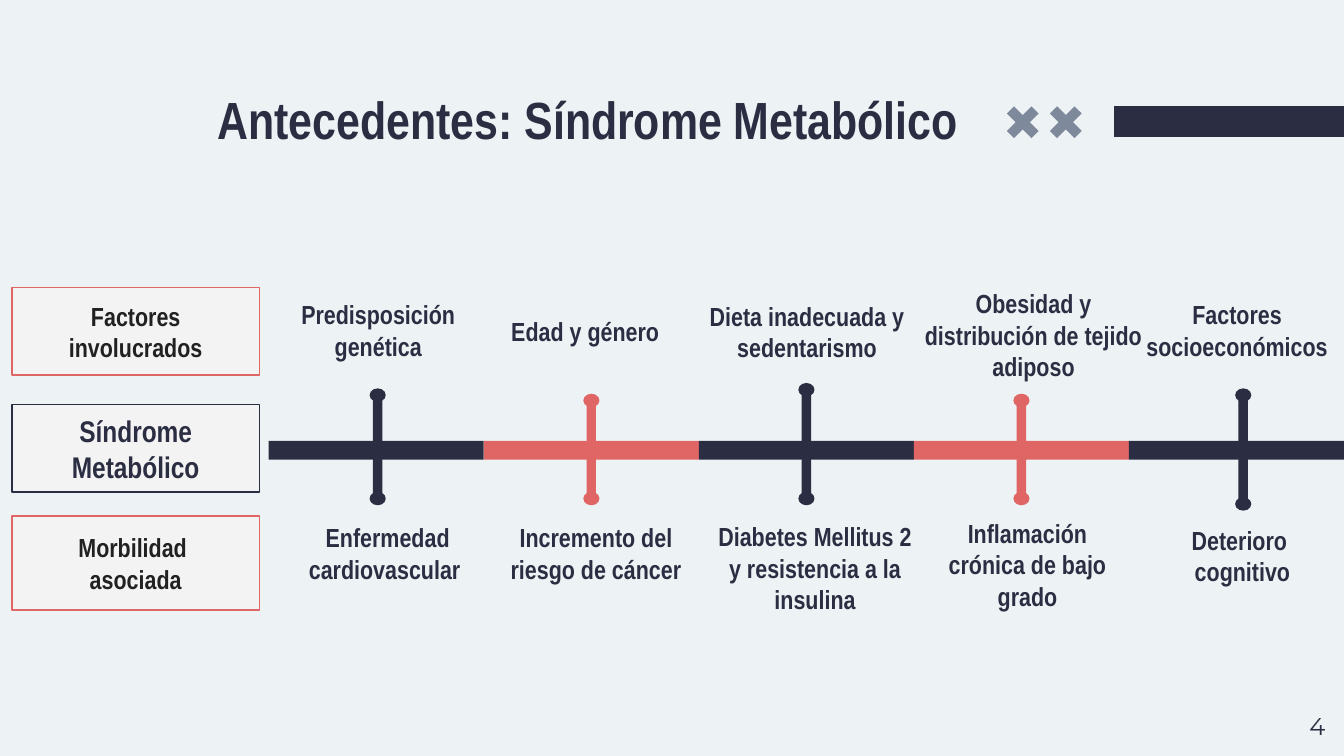
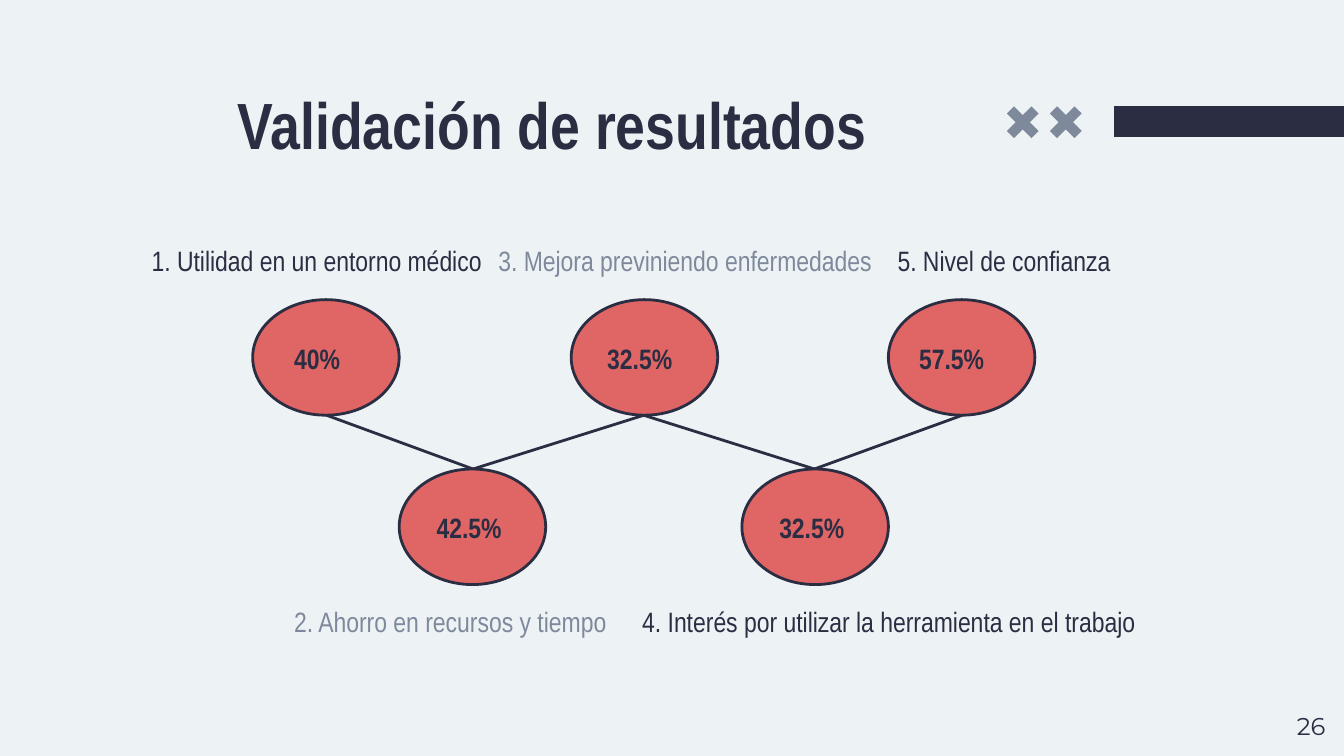
from lxml import etree
from pptx import Presentation
from pptx import util as u
from pptx.dml.color import RGBColor
from pptx.enum import shapes, text
from pptx.oxml.ns import qn

COLORS = {
    "paper": "EDF2F4",
    "navy": "2B2D42",
    "slate": "7E899C",
    "coral": "E06666",
    "label": "F3F3F3",
    "ink": "212121",
}
RGB = {name: RGBColor.from_string(value) for name, value in COLORS.items()}
NARROW = "Arial Narrow"
SHAPE = shapes.MSO_SHAPE
ALIGN = text.PP_ALIGN
ANCHOR = text.MSO_ANCHOR


def draw(slide, kind, box, fill, line=None, weight=0.75):
    shape = slide.shapes.add_shape(kind, *map(u.Inches, box))
    shape.shadow.inherit = False
    shape.fill.solid()
    shape.fill.fore_color.rgb = RGB[fill]
    if line:
        shape.line.color.rgb = RGB[line]
        shape.line.width = u.Pt(weight)
    else:
        shape.line.fill.background()
    return shape


def write(shape, lines, size, color="navy", bold=True, align=ALIGN.CENTER,
          anchor=ANCHOR.MIDDLE, font=NARROW):
    frame = shape.text_frame
    frame.word_wrap = True
    frame.auto_size = text.MSO_AUTO_SIZE.NONE
    frame.vertical_anchor = anchor
    frame.margin_left = frame.margin_right = u.Inches(0.1)
    frame.margin_top = frame.margin_bottom = u.Inches(0.1)
    for i, line in enumerate(lines):
        paragraph = frame.add_paragraph() if i else frame.paragraphs[0]
        paragraph.alignment = align
        run = paragraph.add_run()
        run.text = line
        run.font.name = font
        run.font.size = u.Pt(size)
        run.font.bold = bold
        run.font.color.rgb = RGB[color]


prs = Presentation()
prs.slide_width, prs.slide_height = u.Inches(10), u.Inches(5.625)

# Shared frame: background, band, crosses, title, page number
headings = [
    ("Antecedentes: Síndrome Metabólico", 28, (1.52, 0.55, 6.32, 0.7),
     ALIGN.LEFT, ANCHOR.TOP, "4"),
    ("Validación de resultados ", 35, (0.87, 0.61, 6.59, 0.61),
     ALIGN.CENTER, ANCHOR.MIDDLE, "26"),
]
for heading, size, box, align, anchor, page in headings:
    slide = prs.slides.add_slide(prs.slide_layouts[5])
    slide.background.fill.solid()
    slide.background.fill.fore_color.rgb = RGB["paper"]
    draw(slide, SHAPE.RECTANGLE, (8.29, 0.79, 1.71, 0.23), "navy")
    for x in (7.48, 7.8):
        cross = draw(slide, SHAPE.CROSS, (x, 0.78, 0.26, 0.26), "slate")
        cross.adjustments[0] = 0.356
        cross.rotation = 45
    title = slide.shapes.title
    title.left, title.top, title.width, title.height = map(u.Inches, box)
    write(title, [heading], size, align=align, anchor=anchor)
    number = slide.shapes.add_textbox(*map(u.Inches, (9.36, 5.19, 0.6, 0.43)))
    write(number, [page], 13, bold=False, align=ALIGN.RIGHT, anchor=ANCHOR.TOP,
          font="Montserrat")

background, validation = prs.slides

# Slide 1: row labels on the left
row_labels = [
    (2.14, 0.65, "coral", ["Factores involucrados"], 14, "ink"),
    (3.01, 0.65, "navy", ["Síndrome Metabólico"], 16, "navy"),
    (3.84, 0.7, "coral", ["Morbilidad ", "asociada"], 14, "ink"),
]
for top, height, border, lines, size, color in row_labels:
    label = draw(background, SHAPE.RECTANGLE, (0.09, top, 1.84, height), "label", border)
    write(label, lines, size, color)

# Slide 1: axis of five segments, each with a pin up and a pin down
# (pin centre, upper stem, upper dot, lower stem, lower dot)
pins = [
    (2.81, 2.95, 2.89, 3.36, 3.66),
    (4.4, 2.98, 2.93, 3.39, 3.66),
    (6, 2.93, 2.85, 3.36, 3.66),
    (7.6, 2.98, 2.93, 3.39, 3.66),
    (9.25, 2.93, 2.89, 3.39, 3.7),
]
for i, (center, stem_up, dot_up, stem_down, dot_down) in enumerate(pins):
    color = "coral" if i % 2 else "navy"
    draw(background, SHAPE.RECTANGLE, (2 + 1.6 * i, 3.28, 1.6, 0.14), color)
    for stem, dot in ((stem_up, dot_up), (stem_down, dot_down)):
        draw(background, SHAPE.RECTANGLE, (center - 0.035, stem, 0.07, 0.36), color)
        draw(background, SHAPE.OVAL, (center - 0.06, dot, 0.12, 0.1), color)

# Slide 1: factors above the axis, associated morbidity below
captions = [
    ((1.93, 2.21, 1.77, 0.49), ["Predisposición genética"]),
    ((3.55, 2.28, 1.61, 0.36), ["Edad y género"]),
    ((5.12, 2.22, 1.77, 0.49), ["Dieta inadecuada y sedentarismo"]),
    ((6.77, 2.18, 1.84, 0.62), ["Obesidad y distribución de tejido adiposo"]),
    ((8.32, 2.21, 1.77, 0.49), ["Factores socioeconómicos"]),
    ((2, 3.87, 1.77, 0.49), ["Enfermedad cardiovascular "]),
    ((3.55, 3.87, 1.77, 0.49), ["Incremento del riesgo de cáncer"]),
    ((5.18, 3.98, 1.77, 0.49), ["Diabetes Mellitus 2", "y resistencia a la insulina"]),
    ((6.84, 3.89, 1.61, 0.62), ["Inflamación crónica de bajo grado"]),
    ((8.36, 3.89, 1.77, 0.49), ["Deterioro ", "cognitivo"]),
]
for box, lines in captions:
    write(background.shapes.add_textbox(*map(u.Inches, box)), lines, 14)

# Slide 2: zigzag links between the results
joints = [(2.43, 3.09), (3.52, 3.49), (4.79, 3.09), (6.06, 3.49), (7.16, 3.09)]
for start, end in zip(joints, joints[1:]):
    link = validation.shapes.add_connector(
        shapes.MSO_CONNECTOR.STRAIGHT, *map(u.Inches, start + end))
    link.line.color.rgb = RGB["navy"]
    link.line.width = u.Pt(1.5)
    etree.SubElement(link._element.spPr, qn("a:effectLst"))

# Slide 2: results, alternating between the upper and lower row
# (ellipse left, value left, value, question left, question width, question, colour)
results = [
    (1.88, 2.09, "40%", 1.03, 3.1, "1. Utilidad en un entorno médico", "navy"),
    (2.97, 3.15, "42.5%", 2.09, 3.1, "2. Ahorro en recursos y tiempo", "slate"),
    (4.25, 4.42, "32.5%", 3.61, 3.1, "3. Mejora previniendo enfermedades ", "slate"),
    (5.52, 5.7, "32.5%", 4.68, 4.1,
     "4. Interés por utilizar la herramienta en el trabajo", "navy"),
    (6.61, 6.74, "57.5%", 6.58, 3.1, "5. Nivel de confianza", "navy"),
]
for i, (left, value_left, value, question_left, width, question, color) in enumerate(results):
    top, question_top = (3.49, 4.4) if i % 2 else (2.23, 1.71)
    draw(validation, SHAPE.OVAL, (left, top, 1.09, 0.86), "coral", "navy", 1.5)
    for box, line, tint, bold in (
        ((value_left, top + 0.21, 0.9, 0.4), value, "navy", True),
        ((question_left, question_top, width, 0.47), question, color, False),
    ):
        write(validation.shapes.add_textbox(*map(u.Inches, box)), [line], 15, tint, bold,
              ALIGN.JUSTIFY, ANCHOR.TOP)

prs.save("out.pptx")
